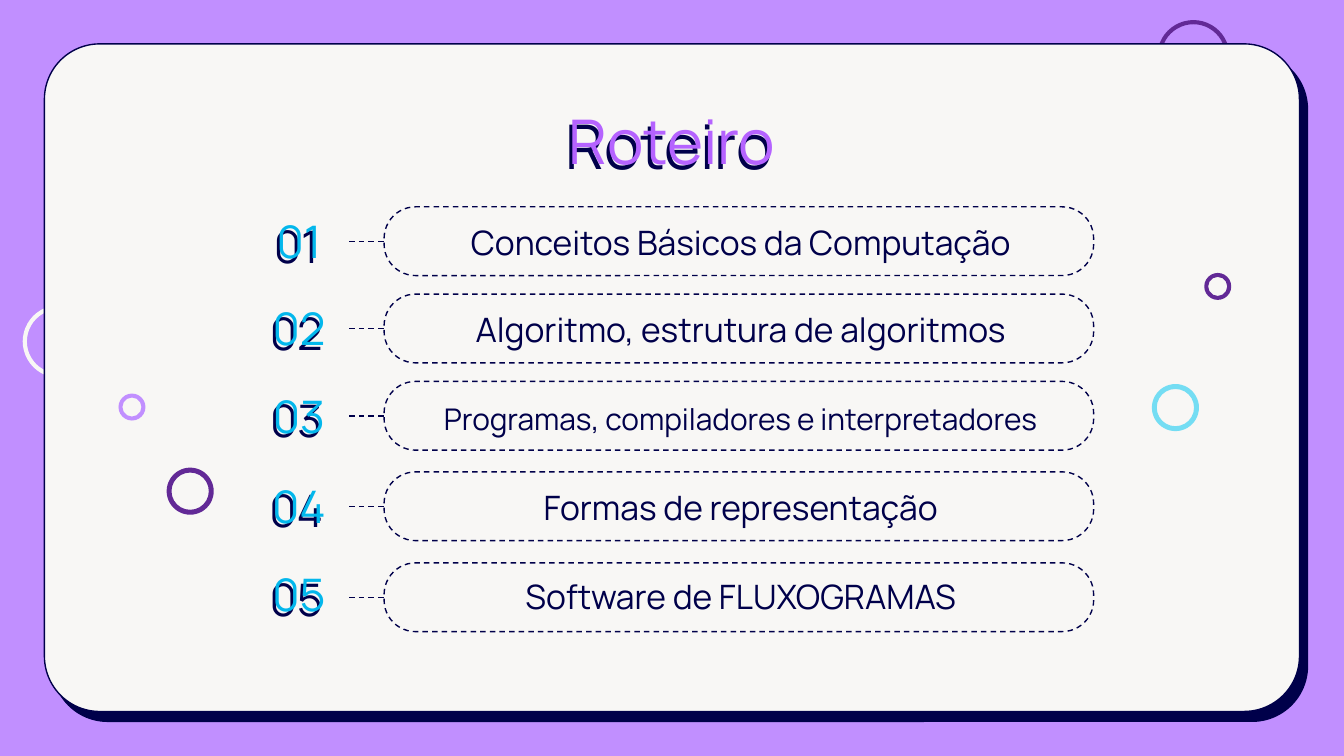
from lxml import etree
from pptx import Presentation
from pptx import util as u
from pptx.dml.color import RGBColor
from pptx.enum import dml, shapes, text
from pptx.oxml.ns import qn

COLORS = {
    "lilac": "C18FFF",
    "paper": "F8F7F5",
    "navy": "00004A",
    "plum": "622996",
    "sky": "74DDF3",
    "title": "B563FF",
    "number": "03B7EC",
}
FONT = "Manrope"

# Topic, text size, top of its text and top of its pill (cm)
TOPICS = [
    ("Conceitos Básicos da Computação", 18, 3.89, 3.91),
    ("Algoritmo, estrutura de algoritmos", 18, 5.54, 5.56),
    ("Programas, compiladores e interpretadores", 16, 7.19, 7.21),
    ("Formas de representação", 18, 8.89, 8.92),
    ("Software de FLUXOGRAMAS", 18, 10.57, 10.64),
]

# Left, top, diameter (cm), ring thickness ratio, colour
RINGS_BEHIND = [
    (21.87, 0.38, 1.37, 0.058, "plum"),
    (0.43, 5.77, 1.37, 0.058, "paper"),
]
RINGS_IN_FRONT = [
    (3.15, 8.84, 0.89, 0.104, "plum"),
    (22.76, 5.16, 0.51, 0.147, "plum"),
    (21.77, 7.26, 0.89, 0.104, "sky"),
    (2.24, 7.44, 0.51, 0.147, "lilac"),
]


def rgb(name):
    return RGBColor.from_string(COLORS[name])


def set_shadow(shape, distance=0, angle=0):
    """Give the shape a hard navy shadow, or none when distance is 0."""
    effects = etree.SubElement(shape._element.spPr, qn("a:effectLst"))
    if distance:
        shadow = etree.SubElement(
            effects, qn("a:outerShdw"), dist=str(u.Pt(distance)),
            dir=str(angle * 60000), algn="bl", rotWithShape="0")
        etree.SubElement(shadow, qn("a:srgbClr"), val=COLORS["navy"])


def style_line(line, dashed):
    line.color.rgb = rgb("navy")
    line.width = u.Pt(0.75)
    if dashed:
        line.dash_style = dml.MSO_LINE.DASH


def add_ring(slide, left, top, diameter, thickness, color):
    ring = slide.shapes.add_shape(
        shapes.MSO_SHAPE.DONUT, u.Cm(left), u.Cm(top), u.Cm(diameter), u.Cm(diameter))
    ring.adjustments[0] = thickness
    ring.fill.solid()
    ring.fill.fore_color.rgb = rgb(color)
    ring.line.fill.background()
    ring.shadow.inherit = False


def add_panel(slide, left, top, width, height, rounding, dashed=False):
    panel = slide.shapes.add_shape(
        shapes.MSO_SHAPE.ROUNDED_RECTANGLE,
        u.Cm(left), u.Cm(top), u.Cm(width), u.Cm(height))
    panel.adjustments[0] = rounding
    panel.fill.solid()
    panel.fill.fore_color.rgb = rgb("paper")
    style_line(panel.line, dashed)
    return panel


def write(box, words, size, color, anchor):
    frame = box.text_frame
    frame.text = words
    frame.word_wrap = True
    frame.auto_size = text.MSO_AUTO_SIZE.NONE
    frame.vertical_anchor = anchor
    frame.margin_left = frame.margin_right = u.Cm(0.25)
    frame.margin_top = frame.margin_bottom = u.Cm(0.25)
    paragraph = frame.paragraphs[0]
    paragraph.alignment = text.PP_ALIGN.CENTER
    font = paragraph.runs[0].font
    font.name = FONT
    font.size = u.Pt(size)
    font.color.rgb = rgb(color)


def add_title(slide, words):
    title = slide.shapes.title
    title.left, title.top = u.Cm(1.98), u.Cm(1.7)
    title.width, title.height = u.Cm(21.44), u.Cm(1.7)
    write(title, words, 33, "title", text.MSO_ANCHOR.TOP)
    set_shadow(title, 3, 120)
    # Bring the title in front of the card
    title._element.getparent().append(title._element)


def add_topic(slide, number, topic, size, text_top, pill_top):
    pill = add_panel(slide, 7.26, pill_top, 13.41, 1.3, 0.458, dashed=True)
    set_shadow(pill)

    middle = pill.top + pill.height // 2
    link = slide.shapes.add_connector(
        shapes.MSO_CONNECTOR.STRAIGHT, u.Cm(6.6), middle, pill.left, middle)
    link.end_connect(pill, 1)
    style_line(link.line, dashed=True)
    set_shadow(link)

    number_box = slide.shapes.add_textbox(
        u.Cm(4.7), u.Cm(text_top), u.Cm(1.9), u.Cm(1.32))
    write(number_box, f"{number:02d}", 24, "number", text.MSO_ANCHOR.MIDDLE)
    set_shadow(number_box, 3, 120)

    topic_box = slide.shapes.add_textbox(
        u.Cm(7.7), u.Cm(text_top), u.Cm(12.6), u.Cm(1.32))
    write(topic_box, topic, size, "navy", text.MSO_ANCHOR.BOTTOM)


def main():
    deck = Presentation()
    deck.slide_width, deck.slide_height = u.Cm(25.4), u.Cm(14.29)
    slide = deck.slides.add_slide(deck.slide_layouts.get_by_name("Title Only"))
    slide.background.fill.solid()
    slide.background.fill.fore_color.rgb = rgb("lilac")

    # Card with the rings that peek out from behind it
    for ring in RINGS_BEHIND:
        add_ring(slide, *ring)
    card = add_panel(slide, 0.84, 0.83, 23.72, 12.62, 0.083)
    set_shadow(card, 6.8, 51)

    # Agenda
    add_title(slide, "Roteiro")
    for number, topic in enumerate(TOPICS, start=1):
        add_topic(slide, number, *topic)

    # Decoration on the card
    for ring in RINGS_IN_FRONT:
        add_ring(slide, *ring)

    deck.save("out.pptx")


if __name__ == "__main__":
    main()
